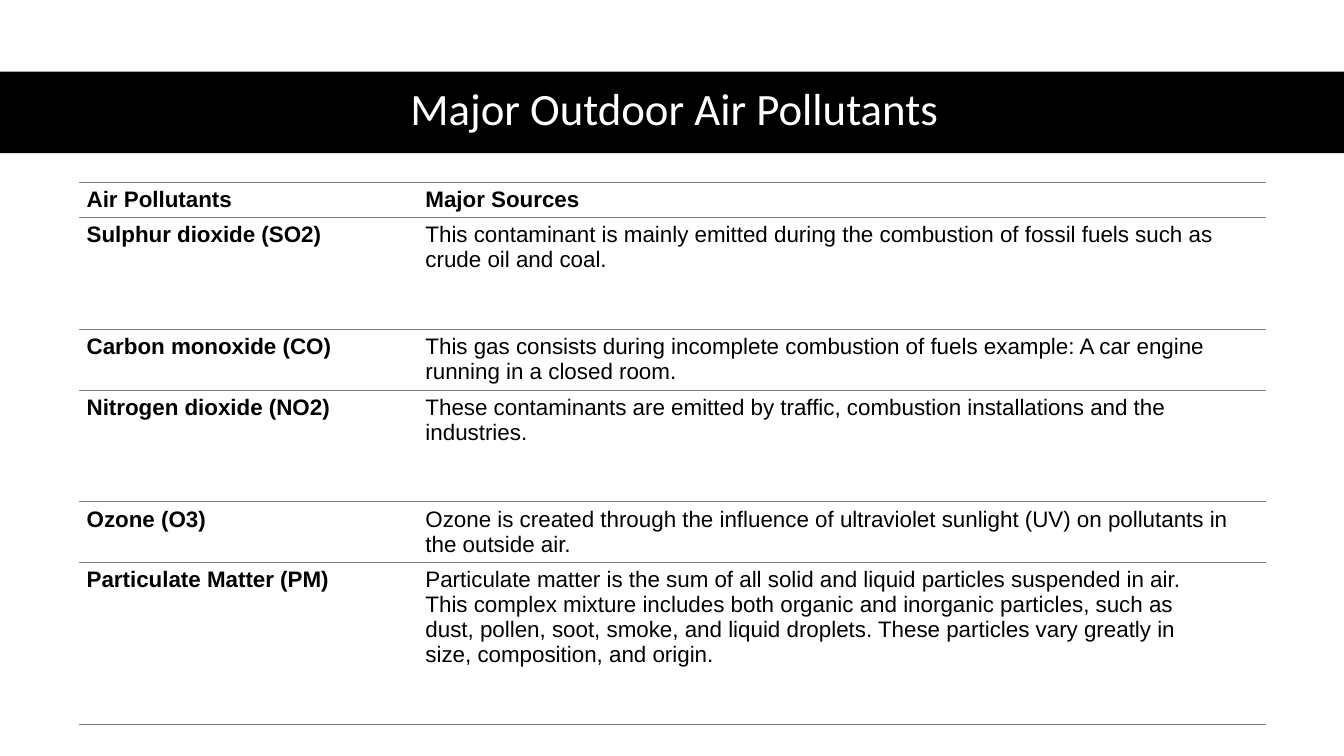
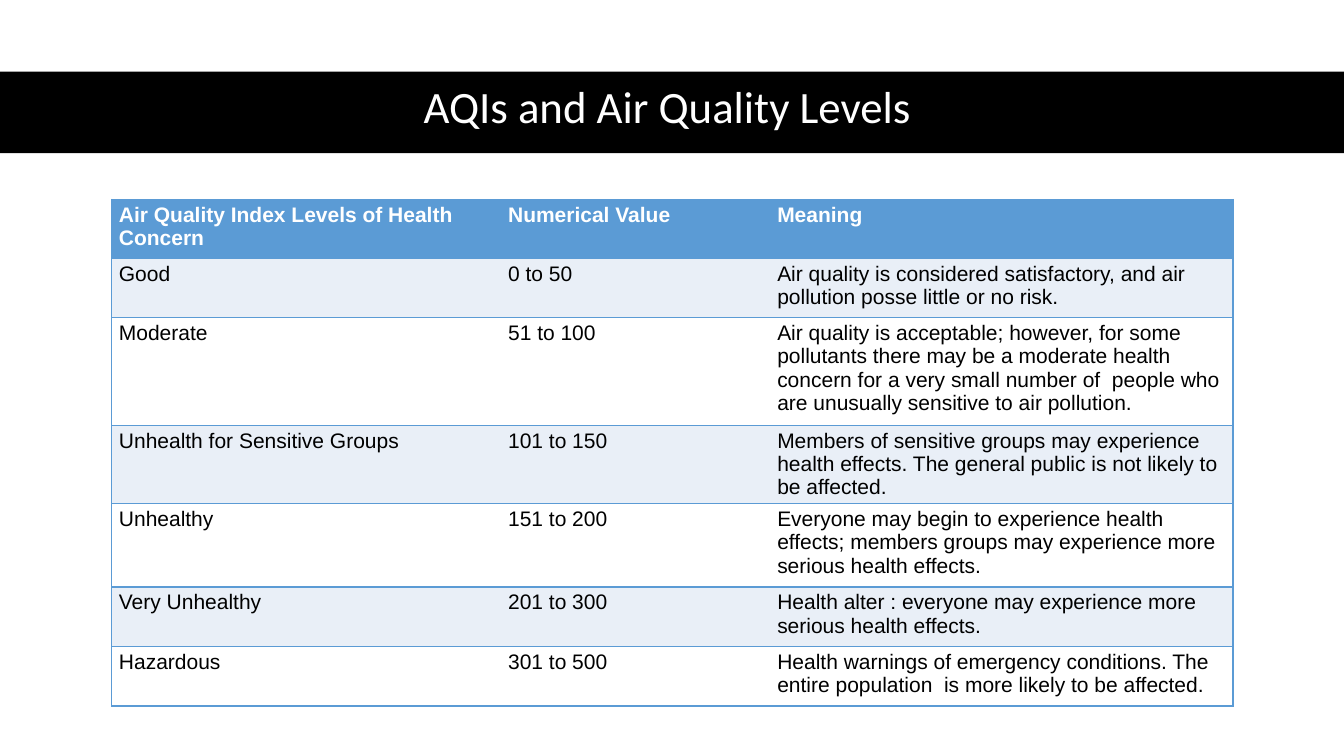
from dataclasses import dataclass

from lxml import etree
from pptx import Presentation
from pptx import util as u
from pptx.dml.color import RGBColor
from pptx.enum import shapes, text
from pptx.oxml.ns import qn

BLACK, WHITE = "000000", "FFFFFF"
GREY, BLUE, PALE_BLUE = "7F7F7F", "5B9BD5", "E9EFF7"
NO_STYLE = "{2D5ABB26-0587-4C30-8999-92F81FD0307C}"
SLIDE_WIDTH, SLIDE_HEIGHT = 13.33, 7.5
BAND_TOP, BAND_HEIGHT = 0.71, 0.81


@dataclass(frozen=True)
class TableStyle:
    """Look of a table; lengths in inches, sizes in points."""
    size: float
    margin_x: float
    margin_y: float
    line_color: str
    line_width: float
    boxed: bool = False
    bold_first_column: bool = False
    header_color: str = BLACK
    header_fill: str | None = None
    band_fills: tuple[str | None, str | None] = (None, None)


@dataclass(frozen=True)
class TableSlide:
    """A titled slide with one table; boxes are left, top, width, height."""
    title: str
    title_box: tuple[float, float, float, float]
    origin: tuple[float, float]
    columns: list[float]
    heights: list[float]
    rows: list[tuple[str, ...]]
    style: TableStyle
    last_cell_margin: float | None = None


def rgb(color: str) -> RGBColor:
    return RGBColor.from_string(color)


def write_text(frame, content: str, *, size: float, font: str = "Arial",
               color: str = BLACK, bold: bool = False, align=None,
               line_spacing: float | None = None) -> None:
    paragraph = frame.paragraphs[0]
    paragraph.alignment = align
    paragraph.line_spacing = line_spacing
    run = paragraph.add_run()
    run.text = content
    run.font.size = u.Pt(size)
    run.font.name = font
    run.font.bold = bold
    run.font.color.rgb = rgb(color)


def add_title(slide, content: str, box: tuple[float, float, float, float]) -> None:
    title = slide.shapes.title
    title.left, title.top, title.width, title.height = map(u.Inches, box)
    frame = title.text_frame
    frame.word_wrap = True
    frame.auto_size = text.MSO_AUTO_SIZE.NONE
    frame.vertical_anchor = text.MSO_ANCHOR.MIDDLE
    write_text(frame, content, size=32, font="Calibri", color=WHITE,
               align=text.PP_ALIGN.CENTER, line_spacing=0.9)

    # Black band behind the title
    band = slide.shapes.add_shape(
        shapes.MSO_SHAPE.RECTANGLE, 0, u.Inches(BAND_TOP),
        u.Inches(SLIDE_WIDTH), u.Inches(BAND_HEIGHT))
    band.shadow.inherit = False
    band.fill.solid()
    band.fill.fore_color.rgb = rgb(BLACK)
    band.line.fill.background()
    title.element.addprevious(band.element)


def set_borders(cell, sides: str, color: str, width: float) -> None:
    """Draw the given sides, in the order L, R, T, B."""
    properties = cell._tc.get_or_add_tcPr()
    for side in sides:
        line = etree.SubElement(properties, qn(f"a:ln{side}"), w=str(u.Pt(width)))
        fill = etree.SubElement(line, qn("a:solidFill"))
        etree.SubElement(fill, qn("a:srgbClr"), val=color)


def format_cell(cell, content: str, row: int, column: int, last_column: int,
                style: TableStyle) -> None:
    header = row == 0
    cell.margin_left = cell.margin_right = u.Inches(style.margin_x)
    cell.margin_top = cell.margin_bottom = u.Inches(style.margin_y)
    write_text(cell.text_frame, content, size=style.size,
               color=style.header_color if header else BLACK,
               bold=header or (style.bold_first_column and column == 0))

    left = "L" if style.boxed and column == 0 else ""
    right = "R" if style.boxed and column == last_column else ""
    set_borders(cell, left + right + "TB", style.line_color, style.line_width)

    fill_color = style.header_fill if header else style.band_fills[(row - 1) % 2]
    if fill_color:
        cell.fill.solid()
        cell.fill.fore_color.rgb = rgb(fill_color)
    else:
        cell.fill.background()


def add_table(slide, content: TableSlide) -> None:
    left, top = content.origin
    table = slide.shapes.add_table(
        len(content.rows), len(content.columns), u.Inches(left), u.Inches(top),
        u.Inches(sum(content.columns)), u.Inches(sum(content.heights))).table
    table.horz_banding = False
    table._tbl.tblPr.find(qn("a:tableStyleId")).text = NO_STYLE
    for column, width in zip(table.columns, content.columns):
        column.width = u.Inches(width)
    for row, height in zip(table.rows, content.heights):
        row.height = u.Inches(height)

    last_column = len(content.columns) - 1
    for i, values in enumerate(content.rows):
        for j, value in enumerate(values):
            format_cell(table.cell(i, j), value, i, j, last_column, content.style)
    if content.last_cell_margin is not None:
        last_cell = table.cell(len(content.rows) - 1, last_column)
        last_cell.margin_right = u.Inches(content.last_cell_margin)


POLLUTANTS = TableSlide(
    title="Major Outdoor Air Pollutants ",
    title_box=(0.61, 0.7, 12.26, 0.81),
    origin=(0.78, 1.81),
    columns=[3.36, 8.42],
    heights=[0.35, 1.11, 0.6, 1.11, 0.6, 1.61],
    rows=[
        ("Air Pollutants", "Major Sources"),
        ("Sulphur dioxide (SO2)",
         "This contaminant is mainly emitted during the combustion of fossil "
         "fuels such as crude oil and coal."),
        ("Carbon monoxide (CO)",
         "This gas consists during incomplete combustion of fuels example: "
         "A car engine running in a closed room."),
        ("Nitrogen dioxide (NO2)",
         "These contaminants are emitted by traffic, combustion installations "
         "and the industries."),
        ("Ozone (O3)",
         "Ozone is created through the influence of ultraviolet sunlight (UV) "
         "on pollutants in the outside air."),
        ("Particulate Matter (PM)",
         "Particulate matter is the sum of all solid and liquid particles "
         "suspended in air. This complex mixture includes both organic and "
         "inorganic particles, such as dust, pollen, soot, smoke, and liquid "
         "droplets. These particles vary greatly in size, composition, and "
         "origin."),
    ],
    style=TableStyle(size=16, margin_x=0.08, margin_y=0.05, line_color=GREY,
                     line_width=0.75, bold_first_column=True),
    last_cell_margin=0.6,
)

QUALITY_LEVELS = TableSlide(
    title="AQIs and Air Quality Levels ",
    title_box=(0.92, 0.48, 11.5, 1.21),
    origin=(1.11, 1.98),
    columns=[3.86, 2.67, 4.59],
    heights=[0.58, 0.59, 1.07, 0.77, 0.83, 0.59, 0.59],
    rows=[
        ("Air Quality Index Levels of Health Concern", "Numerical Value", "Meaning"),
        ("Good", "0 to 50",
         "Air quality is considered satisfactory, and air pollution posse "
         "little or no risk."),
        ("Moderate", "51 to 100",
         "Air quality is acceptable; however, for some pollutants there may be "
         "a moderate health concern for a very small number of  people who are "
         "unusually sensitive to air pollution."),
        ("Unhealth for Sensitive Groups", "101 to 150",
         "Members of sensitive groups may experience health effects. The "
         "general public is not likely to be affected."),
        ("Unhealthy", "151 to 200",
         "Everyone may begin to experience health effects; members groups may "
         "experience more serious health effects."),
        ("Very Unhealthy", "201 to 300",
         "Health alter : everyone may experience more serious health effects."),
        ("Hazardous", "301 to 500",
         "Health warnings of emergency conditions. The entire population  is "
         "more likely to be affected."),
    ],
    style=TableStyle(size=15, margin_x=0.07, margin_y=0.04, line_color=BLUE,
                     line_width=1, boxed=True, header_color=WHITE,
                     header_fill=BLUE, band_fills=(PALE_BLUE, WHITE)),
)


def main() -> None:
    presentation = Presentation()
    presentation.slide_width = u.Inches(SLIDE_WIDTH)
    presentation.slide_height = u.Inches(SLIDE_HEIGHT)
    title_only = presentation.slide_layouts.get_by_name("Title Only")
    for content in (POLLUTANTS, QUALITY_LEVELS):
        slide = presentation.slides.add_slide(title_only)
        add_title(slide, content.title, content.title_box)
        add_table(slide, content)
    presentation.save("out.pptx")


if __name__ == "__main__":
    main()
